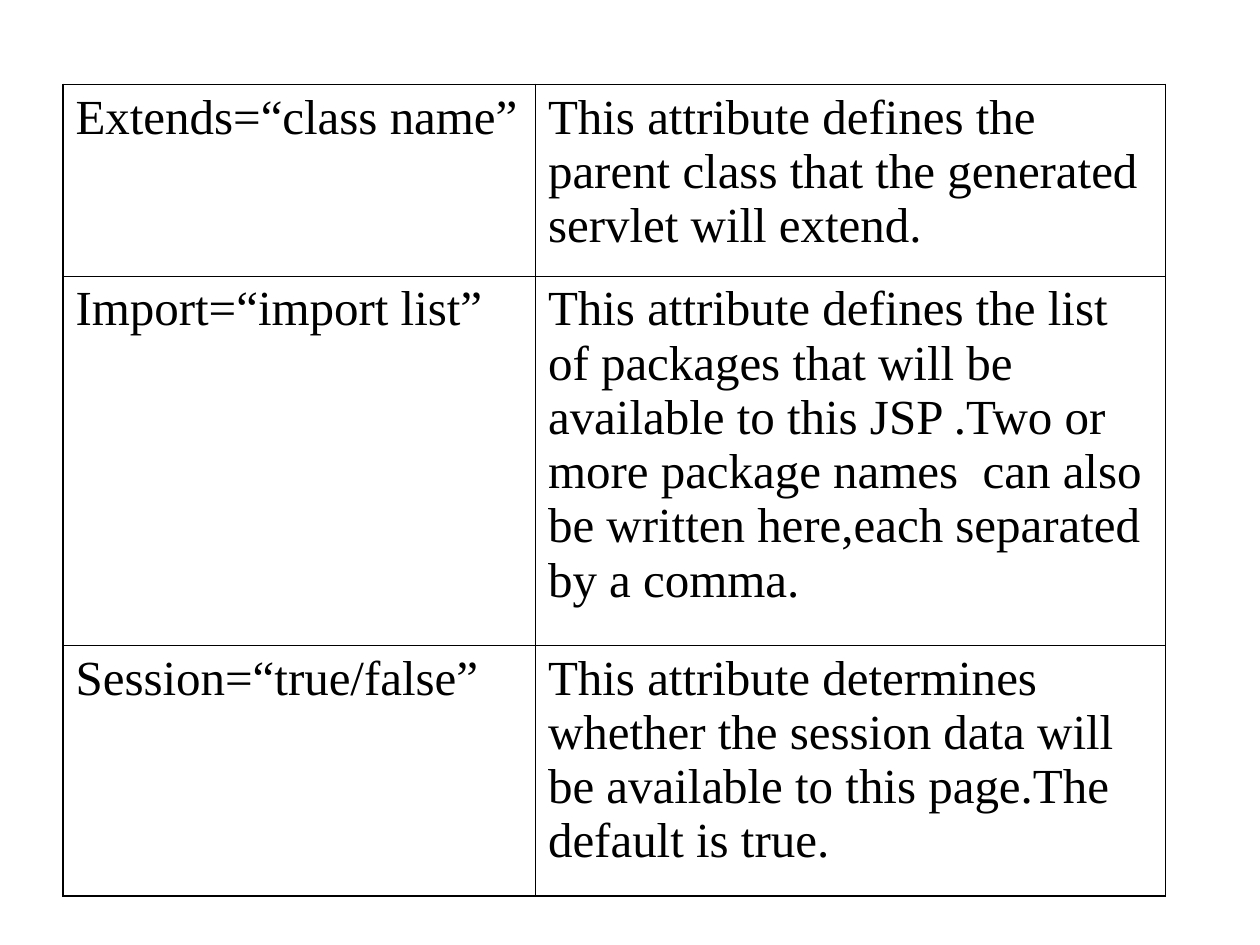
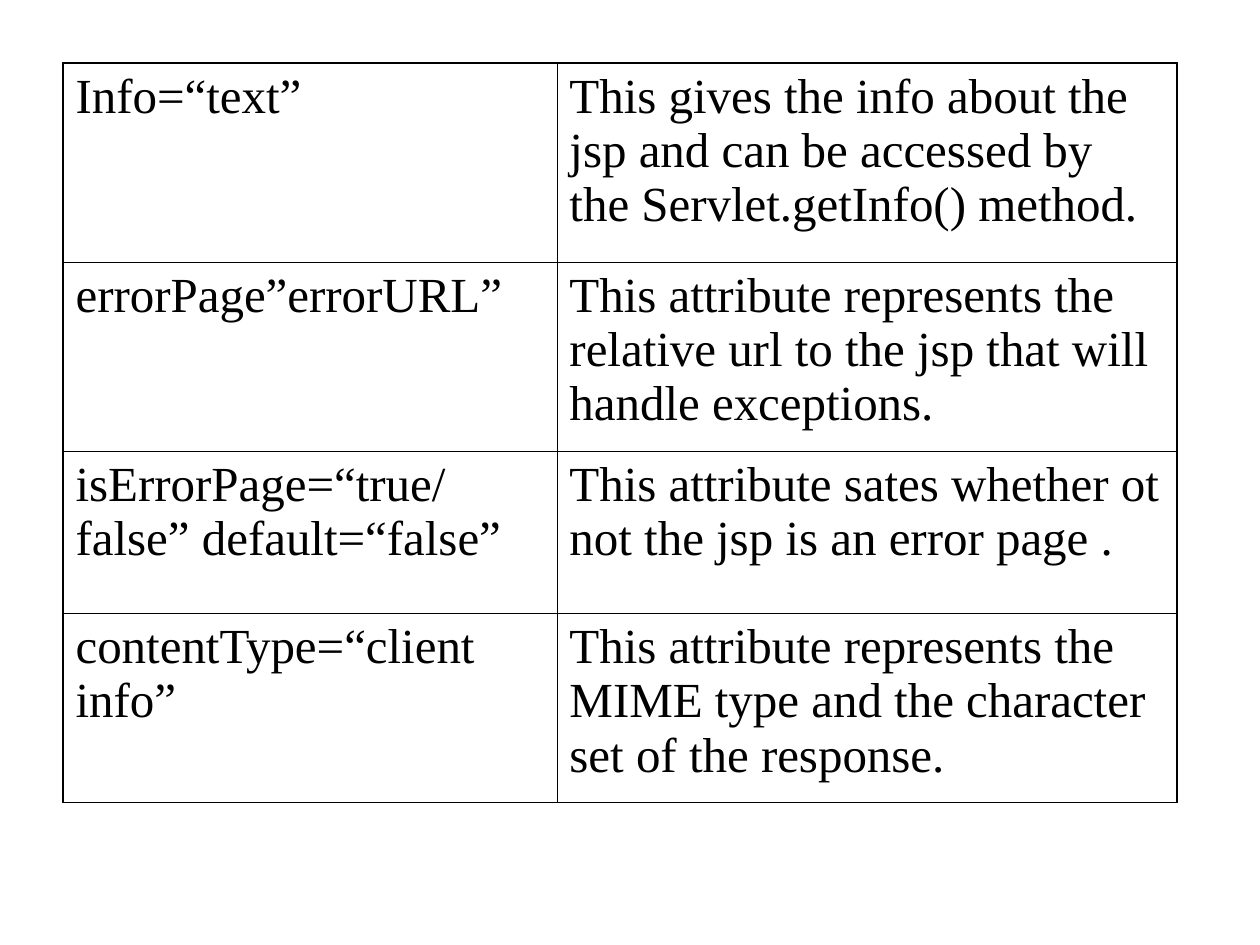
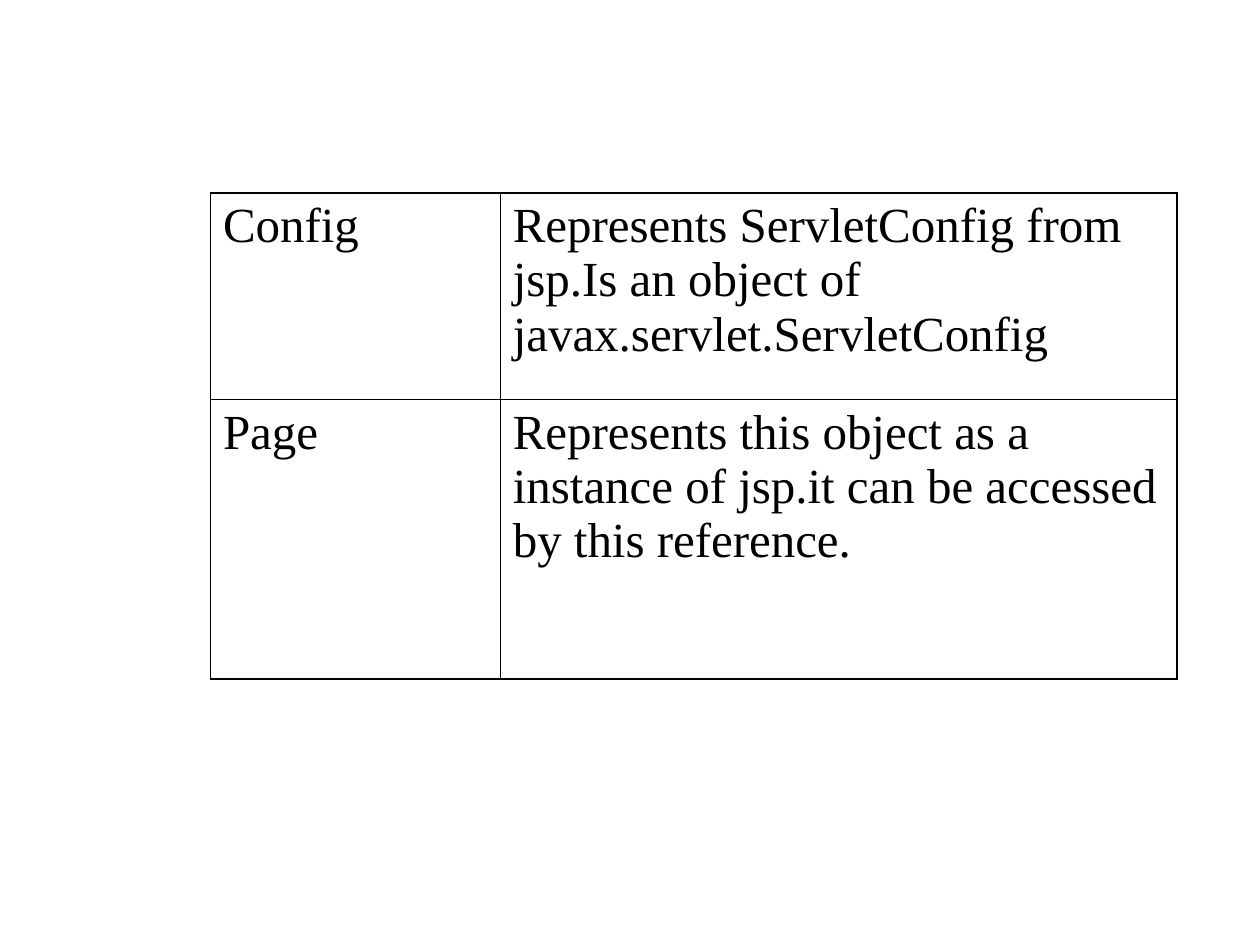
from lxml.etree import SubElement
from pptx import Presentation
from pptx.dml.color import RGBColor
from pptx.oxml.ns import qn
from pptx.util import Inches, Pt

COLORS = {"ink": "000000", "line": "000000"}
FONT = "Times New Roman"
THICK, THIN = 1.08, 0.45

PAGE = [
    ("Extends=“class name”",
     "This attribute defines the parent class that the generated servlet will extend."),
    ("Import=“import list”",
     "This attribute defines the list of packages that will be available to this JSP "
     ".Two or more package names  can also be written here,each separated by a comma."),
    ("Session=“true/false”",
     "This attribute determines whether the session data will be available to this "
     "page.The default is true."),
]
MORE = [
    ("Info=“text”",
     "This gives the info about the jsp and can be accessed by the Servlet.getInfo() method."),
    ("errorPage”errorURL”",
     "This attribute represents the relative url to the jsp that will handle exceptions."),
    ("isErrorPage=“true/false” default=“false”",
     "This attribute sates whether ot not the jsp is an error page ."),
    ("contentType=“client info”",
     "This attribute represents the MIME type and the character set of the response."),
]
OBJECTS = [
    ("Config",
     "Represents ServletConfig from jsp.Is an object of javax.servlet.ServletConfig"),
    ("Page",
     "Represents this object as a instance of jsp.it can be accessed by this reference."),
]


def put_text(frame, text, size=28, color="ink", before=7):
    """Write one formatted paragraph into a text frame."""
    para = frame.paragraphs[0]
    para.space_before = Pt(before)
    run = para.add_run()
    run.text = text
    run.font.name = FONT
    run.font.size = Pt(size)
    run.font.color.rgb = RGBColor.from_string(COLORS[color])


def set_edge(cell, side, width):
    """Draw one border of a cell."""
    props = cell._tc.get_or_add_tcPr()
    edge = SubElement(props, qn(f"a:ln{side}"), w=str(Pt(width)))
    fill = SubElement(edge, qn("a:solidFill"))
    SubElement(fill, qn("a:srgbClr"), val=COLORS["line"])


def add_grid(slide, box, cols, heights, rows):
    """Place a plain table with thick outer and thin inner borders."""
    shape = slide.shapes.add_table(len(rows), len(cols), *map(Inches, box))
    table = shape.table
    table.first_row = table.horz_banding = False
    for col, width in zip(table.columns, cols):
        col.width = Inches(width)
    for row, height in zip(table.rows, heights):
        row.height = Inches(height)
    for r, texts in enumerate(rows):
        for c, text in enumerate(texts):
            cell = table.cell(r, c)
            outer = {"L": c == 0, "R": c == len(cols) - 1,
                     "T": r == 0, "B": r == len(rows) - 1}
            for side, thick in outer.items():
                set_edge(cell, side, THICK if thick else THIN)
            cell.fill.background()
            put_text(cell.text_frame, text)


def main():
    """Build the three table slides."""
    deck = Presentation()
    deck.slide_width, deck.slide_height = Inches(10), Inches(7.5)
    grids = [
        ((0.5, 0.67, 8.75, 6.44), (3.75, 5), (1.52, 2.93, 1.99), PAGE),
        ((0.5, 0.5, 8.83, 5.88), (3.92, 4.92), (1.58, 1.5, 1.29, 1.5), MORE),
        ((1.67, 1.53, 7.67, 3.86), (2.3, 5.37), (1.64, 2.22), OBJECTS),
    ]
    for grid in grids:
        add_grid(deck.slides.add_slide(deck.slide_layouts[6]), *grid)
    deck.save("out.pptx")


if __name__ == "__main__":
    main()
